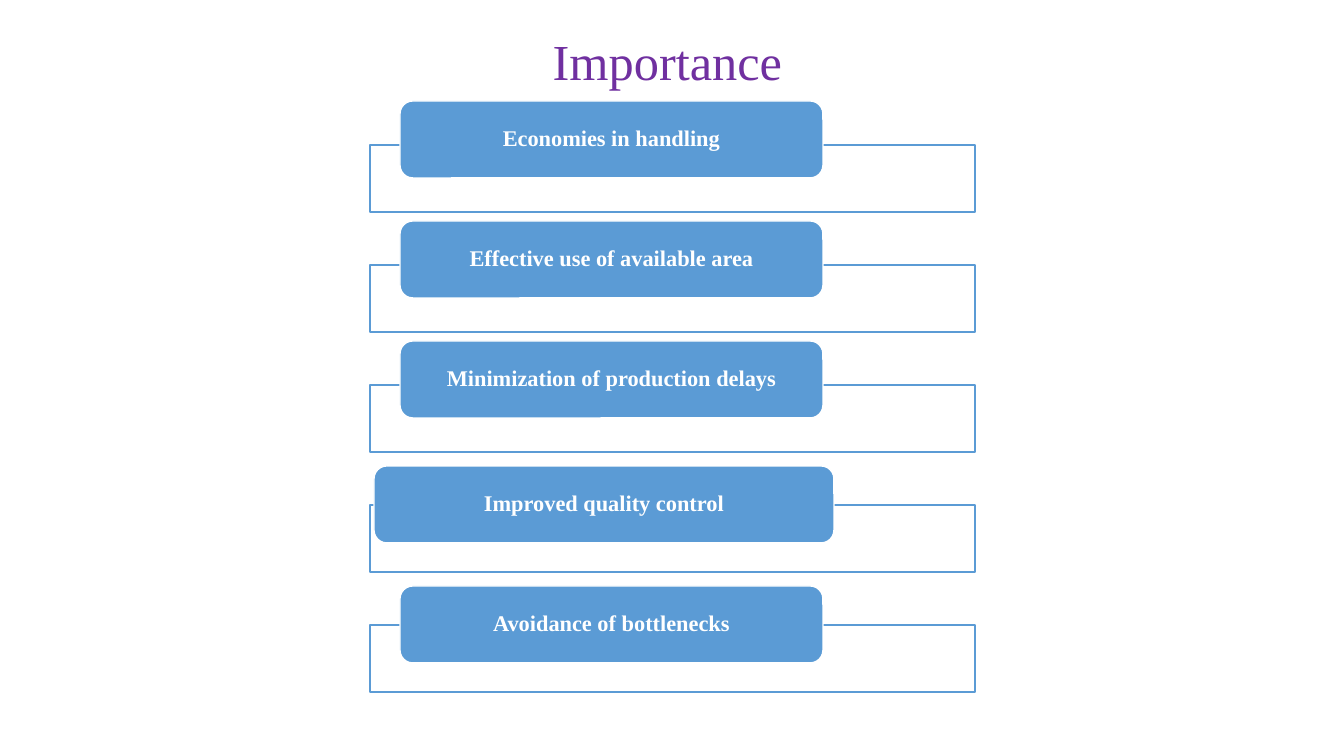
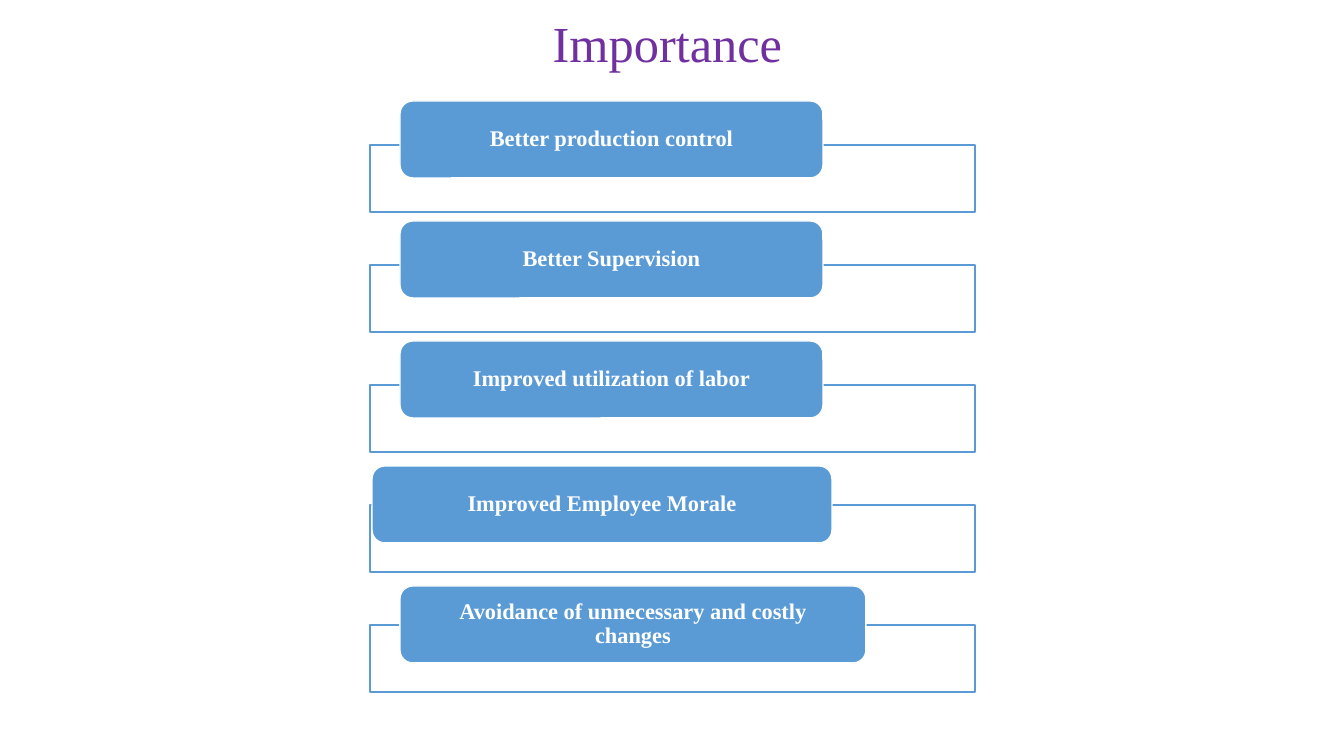
from lxml import etree
from pptx import Presentation
from pptx import util as u
from pptx.dml.color import RGBColor
from pptx.enum import shapes, text
from pptx.oxml.ns import qn

PX = 914400 / 100.8
BLUE, WHITE, PURPLE = "5B9BD5", "FFFFFF", "7030A0"
FONT = "Times New Roman"

FRAME_LEFT, FRAME_TOP, FRAME_WIDTH, FRAME_HEIGHT = 370, 145, 605, 67
ROW_STEP, TAB_HEIGHT = 120, 77
HIGH, LOW = 44, 39

SLIDES = [
    {"title": "Importance", "title_top": 32, "rows": [
        ("Economies in handling", 400, 423, HIGH),
        ("Effective use of available area", 400, 423, HIGH),
        ("Minimization of production delays", 400, 423, HIGH),
        ("Improved quality control", 374, 460, LOW),
        ("Avoidance of bottlenecks", 400, 423, LOW),
    ]},
    {"title": "Importance", "title_top": 14, "rows": [
        ("Better production control", 400, 423, HIGH),
        ("Better Supervision", 400, 423, HIGH),
        ("Improved utilization of labor", 400, 423, HIGH),
        ("Improved Employee Morale", 372, 460, LOW),
        ("Avoidance of unnecessary and costly changes", 400, 466, LOW),
    ]},
]


def px(length):
    return u.Emu(round(length * PX))


def color(code):
    return RGBColor.from_string(code)


def format_text(frame, size, code, bold=False):
    para = frame.paragraphs[0]
    para.alignment = text.PP_ALIGN.CENTER
    para.line_spacing = 0.9
    for span in para.runs:
        span.font.name = FONT
        span.font.size = u.Pt(size)
        span.font.bold = bold
        span.font.color.rgb = color(code)


def add_title(page, title, top):
    box = page.shapes.title
    box.left, box.top, box.width, box.height = px(39), px(top), px(1257), px(64)
    frame = box.text_frame
    frame.text = title
    frame.auto_size = text.MSO_AUTO_SIZE.NONE
    frame.vertical_anchor = text.MSO_ANCHOR.TOP
    format_text(frame, 36, PURPLE)


def add_block(page, kind, left, top, width, height, fill, line):
    block = page.shapes.add_shape(kind, px(left), px(top), px(width), px(height))
    block.shadow.inherit = False
    block.fill.solid()
    block.fill.fore_color.rgb = color(fill)
    block.line.color.rgb = color(line)
    block.line.width = u.Pt(1)
    return block


def add_row(page, index, label, left, width, rise):
    top = FRAME_TOP + index * ROW_STEP
    frame_box = add_block(page, shapes.MSO_SHAPE.RECTANGLE, FRAME_LEFT, top,
                          FRAME_WIDTH, FRAME_HEIGHT, WHITE, BLUE)
    tint = frame_box.fill._xPr.find(qn("a:solidFill"))[0]
    etree.SubElement(tint, qn("a:alpha")).set("val", "90000")

    tab = add_block(page, shapes.MSO_SHAPE.ROUNDED_RECTANGLE, left, top - rise,
                    width, TAB_HEIGHT, BLUE, WHITE)
    frame = tab.text_frame
    frame.text = label
    frame.word_wrap = True
    frame.vertical_anchor = text.MSO_ANCHOR.MIDDLE
    frame.margin_left = frame.margin_right = px(16)
    frame.margin_top = frame.margin_bottom = 0
    format_text(frame, 16, WHITE, bold=True)


def main():
    deck = Presentation()
    deck.slide_width, deck.slide_height = px(1344), px(756)
    for content in SLIDES:
        page = deck.slides.add_slide(deck.slide_layouts.get_by_name("Title Only"))
        add_title(page, content["title"], content["title_top"])
        for index, row in enumerate(content["rows"]):
            add_row(page, index, *row)
    deck.save("out.pptx")


if __name__ == "__main__":
    main()
